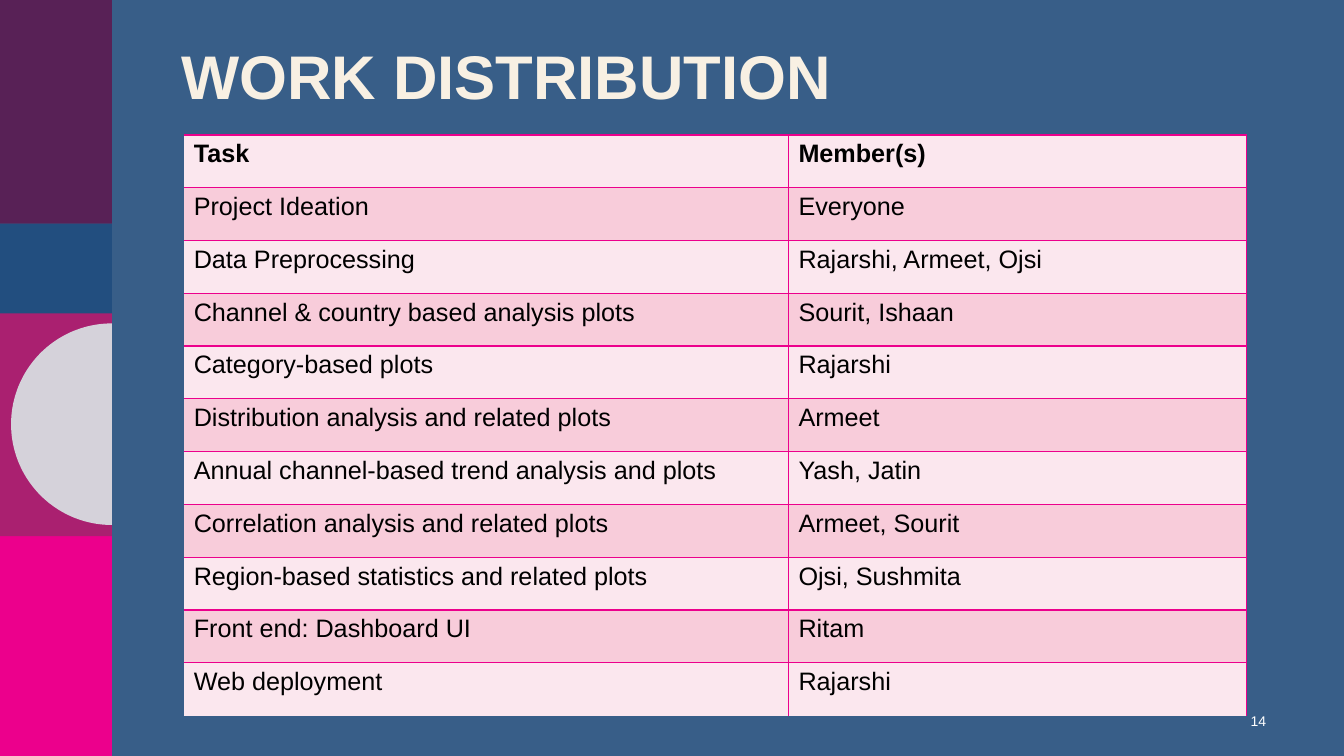
from dataclasses import dataclass
from math import cos, pi, sin

from lxml.etree import SubElement
from pptx import Presentation
from pptx.dml.color import RGBColor
from pptx.enum.shapes import MSO_SHAPE as Shape
from pptx.enum.text import MSO_ANCHOR as Anchor, PP_ALIGN as Align
from pptx.oxml.ns import qn
from pptx.util import Cm, Pt


@dataclass(frozen=True)
class Theme:
    font: str = "Arial"
    background: str = "385E88"
    plum: str = "582156"
    blue: str = "224E7F"
    berry: str = "AA2070"
    pink: str = "EC008C"
    disc: str = "D5D2DA"
    cream: str = "F8F0E3"
    white: str = "FFFFFF"
    black: str = "000000"
    row_fills: tuple = ("FBE7EE", "F8CCDA")
    title_size: int = 44
    body_size: int = 18
    number_size: int = 10


THEME = Theme()
BAND_WIDTH = 2.82

# Colour, top and height of each block in the side band
BAND_BLOCKS = [
    (THEME.pink, 13.41, 5.64),
    (THEME.berry, 7.87, 5.64),
    (THEME.plum, 0, 5.64),
    (THEME.blue, 5.64, 2.26),
]

TASKS = [
    ("Task", "Member(s)"),
    ("Project Ideation", "Everyone"),
    ("Data Preprocessing", "Rajarshi, Armeet, Ojsi"),
    ("Channel & country based analysis plots", "Sourit, Ishaan"),
    ("Category-based plots", "Rajarshi"),
    ("Distribution analysis and related plots", "Armeet"),
    ("Annual channel-based trend analysis and plots", "Yash, Jatin"),
    ("Correlation analysis and related plots", "Armeet, Sourit"),
    ("Region-based statistics and related plots", "Ojsi, Sushmita"),
    ("Front end: Dashboard UI", "Ritam"),
    ("Web deployment", "Rajarshi"),
]


def paint(target, color):
    target.fill.solid()
    target.fill.fore_color.rgb = RGBColor.from_string(color)


def style_shape(shape, color):
    paint(shape, color)
    shape.line.fill.background()
    shape.shadow.inherit = False


def write(frame, text, *, size, color, bold=False, align=Align.LEFT, spacing=None):
    para = frame.paragraphs[0]
    para.alignment = align
    para.line_spacing = spacing
    span = para.add_run()
    span.text = text
    span.font.name = THEME.font
    span.font.size = Pt(size)
    span.font.bold = bold
    span.font.color.rgb = RGBColor.from_string(color)


def add_text(slide, text, left, top, width, height, **style):
    box = slide.shapes.add_textbox(Cm(left), Cm(top), Cm(width), Cm(height))
    frame = box.text_frame
    frame.word_wrap = True
    frame.vertical_anchor = Anchor.MIDDLE
    write(frame, text, **style)


def add_block(slide, color, top, height):
    block = slide.shapes.add_shape(
        Shape.RECTANGLE, 0, Cm(top), Cm(BAND_WIDTH), Cm(height))
    style_shape(block, color)


def add_half_disc(slide, center_x, center_y, radius, steps=90):
    angles = [pi / 2 + pi * step / steps for step in range(steps + 1)]
    points = [(Cm(center_x + radius * cos(angle)), Cm(center_y + radius * sin(angle)))
              for angle in angles]
    builder = slide.shapes.build_freeform(*points[0])
    builder.add_line_segments(points[1:], close=True)
    style_shape(builder.convert_to_shape(), THEME.disc)


def set_borders(cell, hidden):
    properties = cell._tc.get_or_add_tcPr()
    for side in ("lnL", "lnR", "lnT", "lnB"):
        line = SubElement(properties, qn(f"a:{side}"), w=str(Pt(1)))
        if side in hidden:
            SubElement(line, qn("a:noFill"))
        else:
            fill = SubElement(line, qn("a:solidFill"))
            SubElement(fill, qn("a:srgbClr"), val=THEME.pink)


def add_task_table(slide, left, top, widths, row_height):
    frame = slide.shapes.add_table(
        len(TASKS), len(widths), Cm(left), Cm(top),
        Cm(sum(widths)), Cm(row_height * len(TASKS)))
    table = frame.table
    table.first_row = table.horz_banding = False
    for column, width in zip(table.columns, widths):
        column.width = Cm(width)
    for row_index, texts in enumerate(TASKS):
        table.rows[row_index].height = Cm(row_height)
        for column_index, text in enumerate(texts):
            cell = table.cell(row_index, column_index)
            # The left and bottom edges of the table stay open
            hidden = {"lnL"} if column_index == 0 else set()
            if row_index == len(TASKS) - 1:
                hidden.add("lnB")
            set_borders(cell, hidden)
            paint(cell, THEME.row_fills[row_index % 2])
            write(cell.text_frame, text, size=THEME.body_size,
                  color=THEME.black, bold=row_index == 0)


def main():
    deck = Presentation()
    deck.slide_width, deck.slide_height = Cm(33.87), Cm(19.05)
    slide = deck.slides.add_slide(deck.slide_layouts[6])
    paint(slide.background, THEME.background)

    # Side band
    for block in BAND_BLOCKS:
        add_block(slide, *block)
    add_half_disc(slide, BAND_WIDTH, 10.69, 2.54)

    # Title and page number
    add_text(slide, "WORK DISTRIBUTION", 4.32, 0.97, 27.41, 2.06,
             size=THEME.title_size, color=THEME.cream, bold=True, spacing=0.9)
    add_text(slide, "14", 30.89, 17.65, 1.27, 1.02,
             size=THEME.number_size, color=THEME.white, align=Align.RIGHT)

    # Who did what
    add_task_table(slide, 4.63, 3.4, widths=(15.24, 11.54), row_height=1.33)

    deck.save("out.pptx")


if __name__ == "__main__":
    main()
